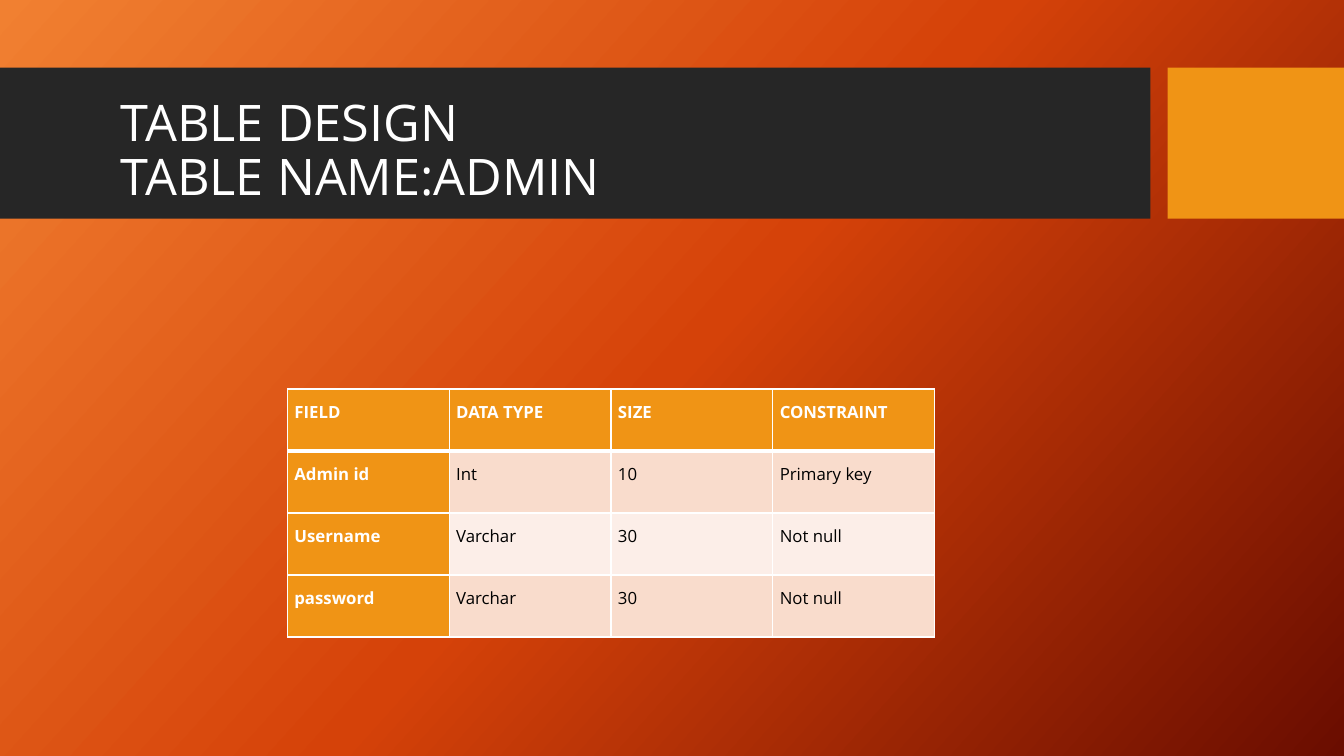
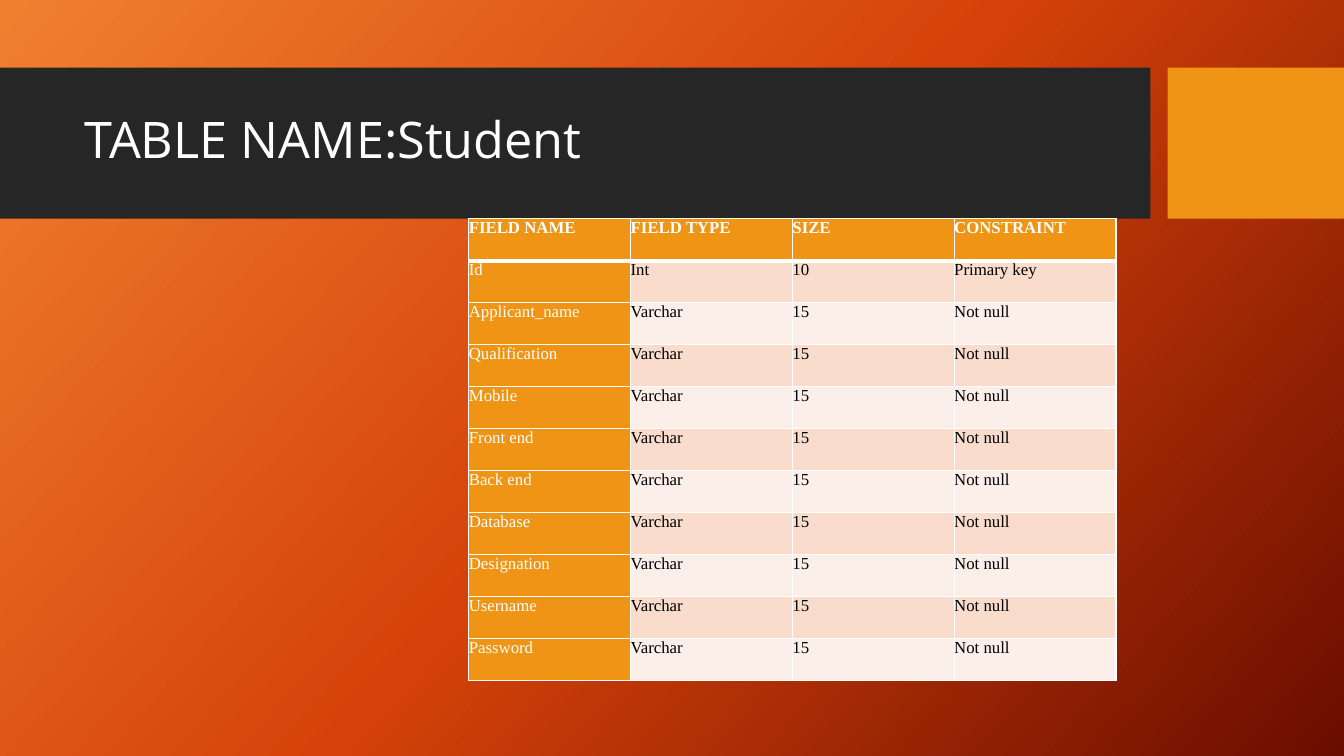
import copy

import pptx
import pptx.dml.color
import pptx.enum.shapes
import pptx.enum.text
import pptx.oxml
import pptx.oxml.ns
import pptx.util

Inches = pptx.util.Inches
Pt = pptx.util.Pt
RGBColor = pptx.dml.color.RGBColor
qn = pptx.oxml.ns.qn

WHITE = RGBColor(0xFF, 0xFF, 0xFF)
BLACK = RGBColor(0x00, 0x00, 0x00)
CHARCOAL = RGBColor(0x26, 0x26, 0x26)
AMBER = RGBColor(0xF0, 0x94, 0x15)
PEACH = RGBColor(0xF9, 0xDC, 0xCC)
PALE_PEACH = RGBColor(0xFC, 0xEE, 0xE8)
BACKGROUND_STOPS = [
    (0, RGBColor(0xF1, 0x80, 0x31)),
    (0.5, RGBColor(0xD5, 0x42, 0x09)),
    (1, RGBColor(0x6A, 0x0D, 0x00)),
]
BACKGROUND_ANGLE = 42
TITLE_FONT = "Open Sans"
SERIF_FONT = "Times New Roman"
TITLE_SIZE = Pt(36)
TABLE_SIZE = Pt(12)
TABLE_WIDTH = 6.42
GRID_WIDTH = Pt(1)
HEADER_RULE_WIDTH = Pt(3)


class Deck:
    def __init__(self):
        self.presentation = pptx.Presentation()
        self.presentation.slide_width = Inches(13.33)
        self.presentation.slide_height = Inches(7.5)
        self.layout = self.presentation.slide_layouts[5]
        self.slide = None
        self.set_background()

    def set_background(self):
        fill = self.layout.background.fill
        fill.gradient()
        fill.gradient_angle = 360 - BACKGROUND_ANGLE
        stop_list = next(self.layout.element.iter(qn("a:gsLst")))
        stop_list.append(copy.deepcopy(stop_list[0]))
        for stop, (position, color) in zip(fill.gradient_stops, BACKGROUND_STOPS):
            stop.position = position
            stop.color.rgb = color

    def add_slide(self):
        first = self.slide is None
        self.slide = self.presentation.slides.add_slide(self.layout)
        if first:
            self.add_shared_band(101, 0, 11.41, CHARCOAL)
            self.add_shared_band(102, 11.58, 1.75, AMBER)

    def add_shared_band(self, identifier, left, width, color):
        shape = self.slide.shapes.add_shape(
            pptx.enum.shapes.MSO_SHAPE.RECTANGLE,
            Inches(left), Inches(0.67), Inches(width), Inches(1.5))
        shape.shadow.inherit = False
        shape.fill.solid()
        shape.fill.fore_color.rgb = color
        shape.line.fill.background()
        shape.element.nvSpPr.cNvPr.set("id", str(identifier))
        self.layout.shapes.element.insert(2, shape.element)

    def add_run(self, paragraph, text, font, size, color, bold=False):
        run = paragraph.add_run()
        run.text = text
        run.font.name = font
        run.font.size = size
        run.font.color.rgb = color
        run.font.bold = bold

    def add_title(self, lines, left, top, width, height):
        title = self.slide.shapes.title
        title.left, title.top = Inches(left), Inches(top)
        title.width, title.height = Inches(width), Inches(height)
        frame = title.text_frame
        frame.word_wrap = True
        frame.auto_size = pptx.enum.text.MSO_AUTO_SIZE.NONE
        frame.vertical_anchor = pptx.enum.text.MSO_ANCHOR.MIDDLE
        paragraph = frame.paragraphs[0]
        paragraph.alignment = pptx.enum.text.PP_ALIGN.LEFT
        paragraph.line_spacing = 0.9
        for index, line in enumerate(lines):
            if index:
                paragraph.add_line_break()
            self.add_run(paragraph, line, TITLE_FONT, TITLE_SIZE, WHITE)

    def set_borders(self, cell, row):
        widths = {
            "L": GRID_WIDTH,
            "R": GRID_WIDTH,
            "T": HEADER_RULE_WIDTH if row == 1 else GRID_WIDTH,
            "B": HEADER_RULE_WIDTH if row == 0 else GRID_WIDTH,
        }
        properties = cell._tc.get_or_add_tcPr()
        for index, (side, width) in enumerate(widths.items()):
            properties.insert(index, pptx.oxml.parse_xml(
                f'<a:ln{side} {pptx.oxml.ns.nsdecls("a")} w="{width}">'
                f'<a:solidFill><a:srgbClr val="{WHITE}"/></a:solidFill></a:ln{side}>'))

    def add_table(self, rows, left, top, height, font, inset=0.0,
                  line_spacing=1.0, space_after=0, bold_fields=False):
        table = self.slide.shapes.add_table(
            len(rows), len(rows[0]), Inches(left), Inches(top),
            Inches(TABLE_WIDTH), Inches(height)).table
        for row, values in enumerate(rows):
            for column, value in enumerate(values):
                cell = table.cell(row, column)
                accent = row == 0 or column == 0
                cell.margin_left = cell.margin_right = Inches(inset)
                cell.margin_top = cell.margin_bottom = 0
                cell.fill.solid()
                band = PEACH if row % 2 else PALE_PEACH
                cell.fill.fore_color.rgb = AMBER if accent else band
                self.set_borders(cell, row)
                paragraph = cell.text_frame.paragraphs[0]
                paragraph.line_spacing = line_spacing
                paragraph.space_after = Pt(space_after)
                self.add_run(paragraph, value, font, TABLE_SIZE,
                             WHITE if accent else BLACK,
                             row == 0 or (column == 0 and bold_fields))


deck = Deck()

deck.add_slide()
deck.add_title(["TABLE DESIGN", "TABLE NAME:ADMIN"], 1.1, 0.57, 10.19, 1.88)
admin_rows = [
    ("FIELD", "DATA TYPE", "SIZE", "CONSTRAINT"),
    ("Admin id", "Int", "10", "Primary key"),
    ("Username", "Varchar", "30", "Not null"),
    ("password", "Varchar", "30", "Not null"),
]
deck.add_table(admin_rows, 2.85, 3.86, 2.46, TITLE_FONT, inset=0.07,
               line_spacing=1.5, space_after=10, bold_fields=True)

deck.add_slide()
deck.add_title(["TABLE NAME:Student"], 0.74, 0.82, 10.51, 1.18)
student_fields = [
    "Applicant_name", "Qualification", "Mobile", "Front end", "Back end",
    "Database", "Designation", "Username", "Password",
]
student_rows = [
    ("FIELD NAME", "FIELD TYPE", "SIZE", "CONSTRAINT"),
    ("Id", "Int", "10", "Primary key"),
] + [(field, "Varchar", "15", "Not null") for field in student_fields]
deck.add_table(student_rows, 4.65, 2.17, 4.58, SERIF_FONT)

deck.presentation.save("out.pptx")
